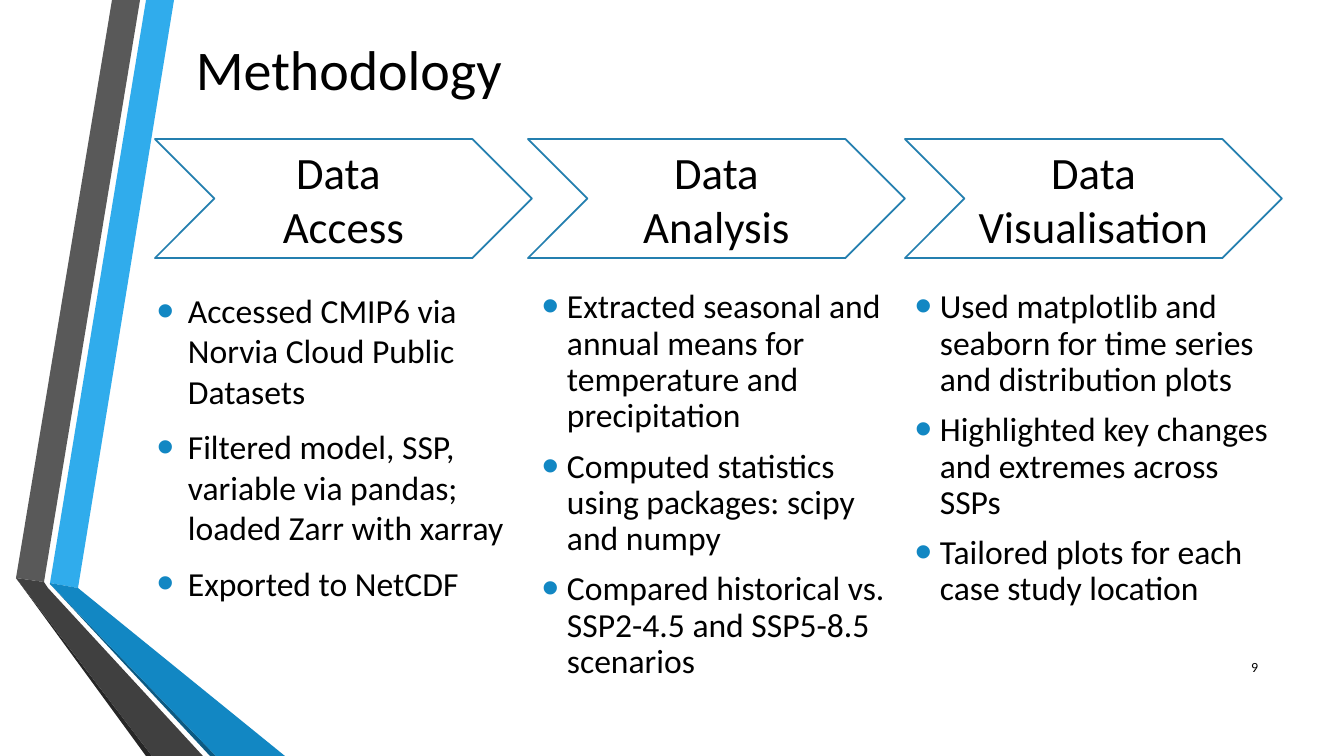
from lxml import etree
from pptx import Presentation, util as u
from pptx.dml.color import RGBColor
from pptx.enum import shapes, text
from pptx.oxml import ns

PX = 12192000 / 1344
FONT = "Calibri"
BLACK = RGBColor(0x00, 0x00, 0x00)
SKY = RGBColor(0x30, 0xAC, 0xEC)
BLUE = RGBColor(0x12, 0x87, 0xC3)
NAVY = RGBColor(0x0C, 0x5A, 0x82)
OUTLINE = RGBColor(0x24, 0x7F, 0xAF)
GREY = RGBColor(0x59, 0x59, 0x59)
DARK_GREY = RGBColor(0x40, 0x40, 0x40)
CHARCOAL = RGBColor(0x26, 0x26, 0x26)

RIBBONS = [
    (SKY, [(50, 583), (78, 588), (174, 0), (146, 0)]),
    (GREY, [(140, 0), (112, 0), (16, 578), (44, 582)]),
    (CHARCOAL, [(16, 578), (146, 756), (152, 756)]),
    (NAVY, [(50, 584), (210, 756), (216, 756)]),
    (BLUE, [(50, 583), (50, 584), (216, 756), (285, 756), (78, 588)]),
    (DARK_GREY, [(203, 756), (48, 588), (44, 582), (16, 578), (152, 756)]),
]
STEPS = [(155, "Data \nAccess"), (528, "Data Analysis"), (905, "Data Visualisation ")]
ACCESS = [
    "Accessed CMIP6 via Norvia Cloud Public Datasets",
    "Filtered model, SSP, variable via pandas; loaded Zarr with xarray",
    "Exported to NetCDF",
]
ANALYSIS = [
    "Extracted seasonal and annual means for temperature and precipitation",
    "Computed statistics using packages: scipy and numpy",
    "Compared historical vs. SSP2-4.5 and SSP5-8.5 scenarios",
]
VISUALISATION = [
    "Used matplotlib and seaborn for time series and distribution plots",
    "Highlighted key changes and extremes across SSPs",
    "Tailored plots for each case study location",
]


def px(n):
    return u.Emu(round(n * PX))


def add_ribbon(s, color, points):
    fb = s.shapes.build_freeform(*points[0], scale=PX)
    fb.add_line_segments(points[1:], close=True)
    sp = fb.convert_to_shape()
    sp.shadow.inherit = False
    sp.fill.solid()
    sp.fill.fore_color.rgb = color
    sp.line.fill.background()


def set_text(tf, content, size, align, anchor):
    tf.word_wrap = True
    tf.vertical_anchor = anchor
    tf.text = content
    for p in tf.paragraphs:
        p.alignment = align
        for r in p.runs:
            r.font.size = u.Pt(size)
            r.font.name = FONT
            r.font.color.rgb = BLACK


def add_text(s, box, content, size, align=text.PP_ALIGN.LEFT, anchor=text.MSO_ANCHOR.MIDDLE):
    tf = s.shapes.add_textbox(*map(px, box)).text_frame
    set_text(tf, content, size, align, anchor)
    return tf


def add_step(s, left, label):
    sp = s.shapes.add_shape(shapes.MSO_SHAPE.CHEVRON, px(left), px(139), px(377), px(119))
    sp.shadow.inherit = False
    sp.fill.background()
    sp.line.color.rgb = OUTLINE
    sp.line.width = u.Pt(1.25)
    tf = sp.text_frame
    tf.margin_left = tf.margin_right = px(12)
    set_text(tf, label, 32, text.PP_ALIGN.CENTER, text.MSO_ANCHOR.MIDDLE)


def add_bullet(p, indent):
    pPr = p._p.get_or_add_pPr()
    pPr.set("marL", str(px(indent)))
    pPr.set("indent", str(-px(indent)))
    clr = etree.SubElement(pPr, ns.qn("a:buClr"))
    etree.SubElement(clr, ns.qn("a:srgbClr"), val=str(BLUE))
    etree.SubElement(pPr, ns.qn("a:buSzPct"), val="145000")
    etree.SubElement(pPr, ns.qn("a:buFont"), typeface="Arial")
    etree.SubElement(pPr, ns.qn("a:buChar"), char="•")


def add_bullets(s, box, items, indent, before, after, spacing):
    tf = add_text(s, box, "\n".join(items), 24, anchor=text.MSO_ANCHOR.TOP)
    for i, p in enumerate(tf.paragraphs):
        add_bullet(p, indent)
        p.line_spacing = spacing
        p.space_before = u.Pt(before if i else 0)
        p.space_after = u.Pt(after)


def main():
    prs = Presentation()
    prs.slide_width, prs.slide_height = px(1344), px(756)
    s = prs.slides.add_slide(prs.slide_layouts[6])
    for color, points in RIBBONS:
        add_ribbon(s, color, points)
    add_text(s, (186, 8, 1051, 121), "Methodology", 40)
    for left, label in STEPS:
        add_step(s, left, label)
    add_bullets(s, (147, 285, 377, 393), ACCESS, 31, 5, 6, 1.0)
    add_bullets(s, (532, 285, 373, 424), ANALYSIS, 25, 10, 0, 0.9)
    add_bullets(s, (905, 285, 377, 424), VISUALISATION, 25, 10, 0, 0.9)
    add_text(s, (1208, 647, 60, 40), "9", 10, text.PP_ALIGN.RIGHT)
    prs.save("out.pptx")


if __name__ == "__main__":
    main()
